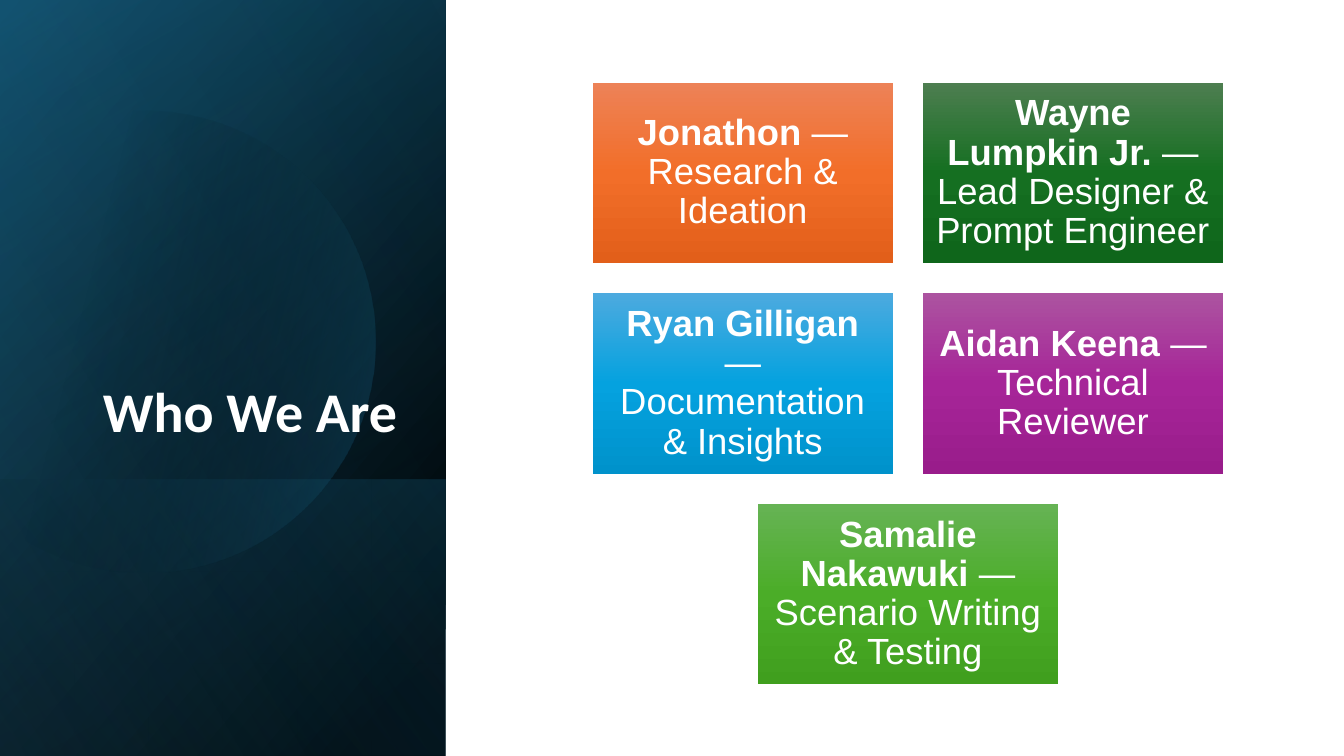
import math

import lxml.etree
import pptx
import pptx.dml.color
import pptx.enum.shapes
import pptx.enum.text
import pptx.oxml.ns
import pptx.util

Inches = pptx.util.Inches
Pt = pptx.util.Pt
qn = pptx.oxml.ns.qn
RECT = pptx.enum.shapes.MSO_SHAPE.RECTANGLE
ALIGN = pptx.enum.text.PP_ALIGN
ANCHOR = pptx.enum.text.MSO_ANCHOR

COLORS = {
    "white": "FFFFFF",
    "black": "000000",
    "navy": "104862",
    "teal": "156082",
    "sky": "46B1E1",
}
CARD_COLORS = {
    "orange": ("ED8257", "F26E29", "E25F1A"),
    "green": ("4D7E50", "156F21", "0F661B"),
    "blue": ("4CAADF", "05A2DF", "0092CB"),
    "purple": ("AC53A0", "A62598", "991C8B"),
    "lime": ("66B354", "4BAD28", "409F1E"),
}
TEAM = [
    ("Jonathon", "Research & Ideation", "orange"),
    ("Wayne Lumpkin Jr.", "Lead Designer & Prompt Engineer", "green"),
    ("Ryan Gilligan", "Documentation & Insights", "blue"),
    ("Aidan Keena", "Technical Reviewer", "purple"),
    ("Samalie Nakawuki", "Scenario Writing & Testing", "lime"),
]


def style_gradient(sp, angle, stops):
    sp.shadow.inherit = False
    sp.line.fill.background()
    sp.fill.gradient()
    sp.fill.gradient_angle = (360 - angle) % 360
    gs_list = sp.element.spPr.find(".//" + qn("a:gsLst"))
    for gs in list(gs_list):
        gs_list.remove(gs)
    for pos, color, alpha in stops:
        gs = lxml.etree.SubElement(gs_list, qn("a:gs"), pos=str(pos * 1000))
        clr = lxml.etree.SubElement(gs, qn("a:srgbClr"), val=color)
        if alpha < 100:
            lxml.etree.SubElement(clr, qn("a:alpha"), val=str(alpha * 1000))


def style_paragraph(p, align, font, size):
    p.alignment = align
    p.line_spacing = 0.9
    p.font.name = font
    p.font.size = Pt(size)
    p.font.color.rgb = pptx.dml.color.RGBColor.from_string(COLORS["white"])


def add_turned_panel(s, x, y, w, h, angle, stops):
    sp = s.shapes.add_shape(RECT, Inches(x + (w - h) / 2), Inches(y + (h - w) / 2),
                            Inches(h), Inches(w))
    sp.rotation = 90
    sp.element.spPr.find(qn("a:xfrm")).set("flipH", "1")
    style_gradient(sp, angle, stops)


def add_disc(s, cx, cy, radius, half_sweep, stops):
    points = [(Inches(cx + radius * math.cos(math.radians(a))),
               Inches(cy + radius * math.sin(math.radians(a))))
              for a in (-half_sweep, -90, 0, 90, half_sweep)]
    builder = s.shapes.build_freeform(*points[0])
    builder.add_line_segments(points[1:], close=True)
    sp = builder.convert_to_shape()
    outline = sp.element.spPr.find(".//" + qn("a:path"))
    for segment in outline.findall(qn("a:lnTo")):
        outline.remove(segment)
    arc = lxml.etree.SubElement(outline, qn("a:arcTo"),
                                wR=str(Inches(radius)), hR=str(Inches(radius)),
                                stAng=str((360 - half_sweep) * 60000),
                                swAng=str(2 * half_sweep * 60000))
    outline.find(qn("a:moveTo")).addnext(arc)
    style_gradient(sp, 14, stops)


def add_title(s, x, y, w, h):
    title = s.shapes.title
    title.left, title.top, title.width, title.height = map(Inches, (x, y, w, h))
    s.shapes.element.append(title.element)
    tf = title.text_frame
    tf.text = "Who We Are"
    tf.word_wrap = True
    tf.auto_size = pptx.enum.text.MSO_AUTO_SIZE.NONE
    tf.vertical_anchor = ANCHOR.BOTTOM
    p = tf.paragraphs[0]
    style_paragraph(p, ALIGN.RIGHT, "Calibri", 40)
    p.font.bold = True


def add_sidebar(s, x, y, w, h):
    black, navy, teal, sky = (COLORS[k] for k in ("black", "navy", "teal", "sky"))
    band = 2.74
    add_turned_panel(s, x, y, w, h, 50, [(8, black, 100), (100, navy, 100)])
    add_turned_panel(s, x, y, w, h, 30, [(0, black, 0), (99, teal, 46)])
    add_turned_panel(s, x, y + h - band, w, band, 130, [(2, teal, 29), (100, black, 30)])
    add_disc(s, x + 1.43, y + 3.39, 2.29, 134, [(29, black, 0), (100, teal, 43)])
    add_turned_panel(s, x, y, w, h, 120, [(0, black, 0), (99, sky, 11)])
    add_title(s, x + 0.63, y + 1.84, 3.41, 2.62)


def add_card(s, x, y, w, h, name, role, color):
    sp = s.shapes.add_shape(RECT, Inches(x), Inches(y), Inches(w), Inches(h))
    style_gradient(sp, 90, [(i * 50, c, 100) for i, c in enumerate(CARD_COLORS[color])])
    tf = sp.text_frame
    tf.word_wrap = True
    tf.vertical_anchor = ANCHOR.MIDDLE
    tf.margin_left = tf.margin_right = tf.margin_top = tf.margin_bottom = Inches(0.11)
    p = tf.paragraphs[0]
    style_paragraph(p, ALIGN.CENTER, "Arial", 26)
    r = p.add_run()
    r.text = name
    r.font.bold = True
    p.add_run().text = f" — {role}"


def add_team(s, x, y, w, h):
    cols, gap = 2, 0.3
    rows = math.ceil(len(TEAM) / cols)
    card_w = (w - gap * (cols - 1)) / cols
    card_h = (h - gap * (rows - 1)) / rows
    for i, member in enumerate(TEAM):
        row, col = divmod(i, cols)
        in_row = min(cols, len(TEAM) - row * cols)
        indent = (cols - in_row) * (card_w + gap) / 2
        add_card(s, x + indent + col * (card_w + gap), y + row * (card_h + gap),
                 card_w, card_h, *member)


def main():
    prs = pptx.Presentation()
    prs.slide_width = Inches(13.33)
    prs.slide_height = Inches(7.5)
    s = prs.slides.add_slide(prs.slide_layouts[5])
    add_sidebar(s, 0, 0, 4.42, 7.5)
    add_team(s, 5.88, 0.82, 6.25, 5.97)
    prs.save("out.pptx")


if __name__ == "__main__":
    main()
